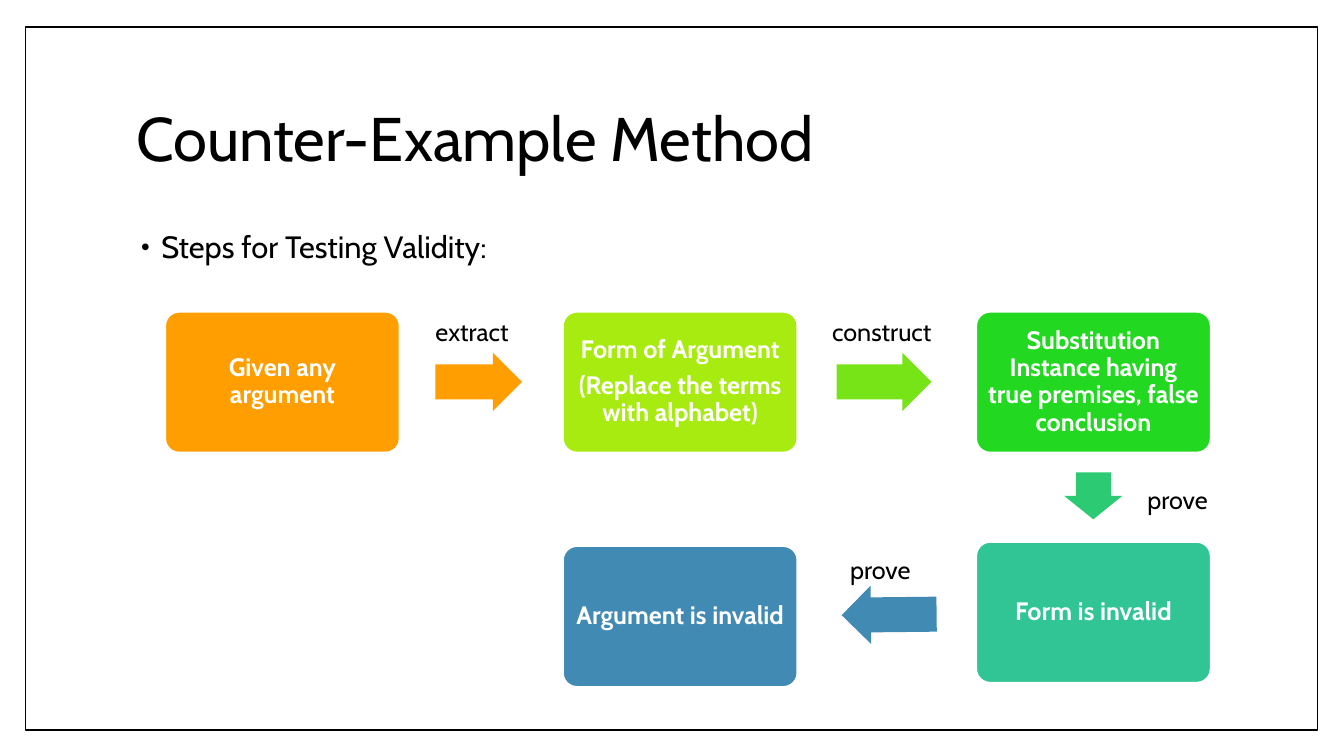
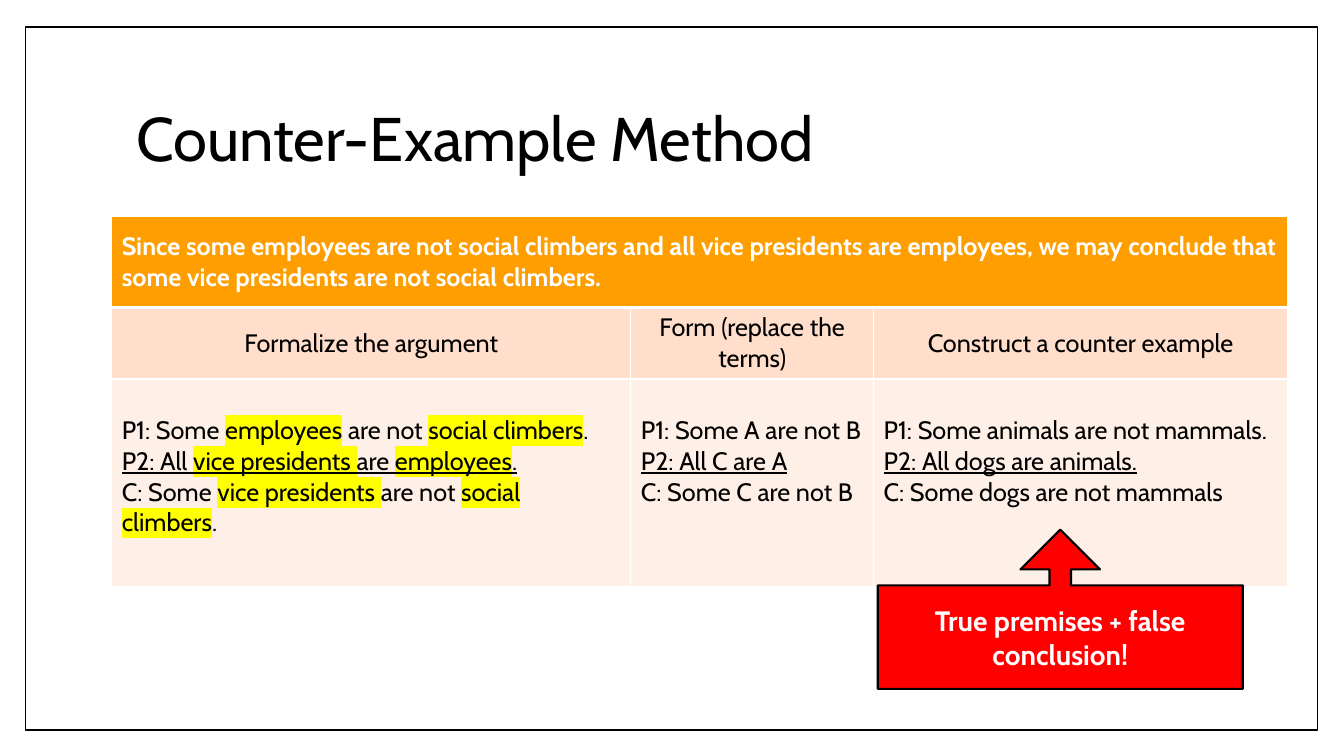
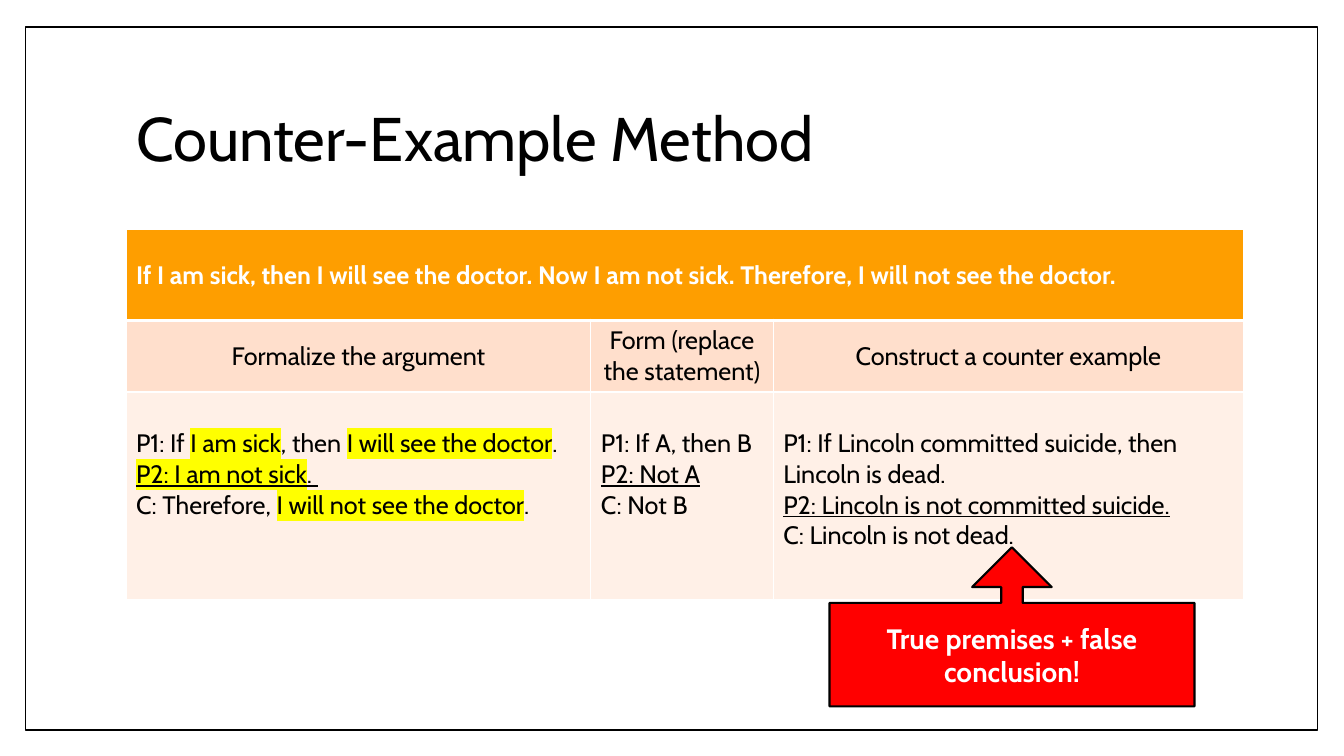
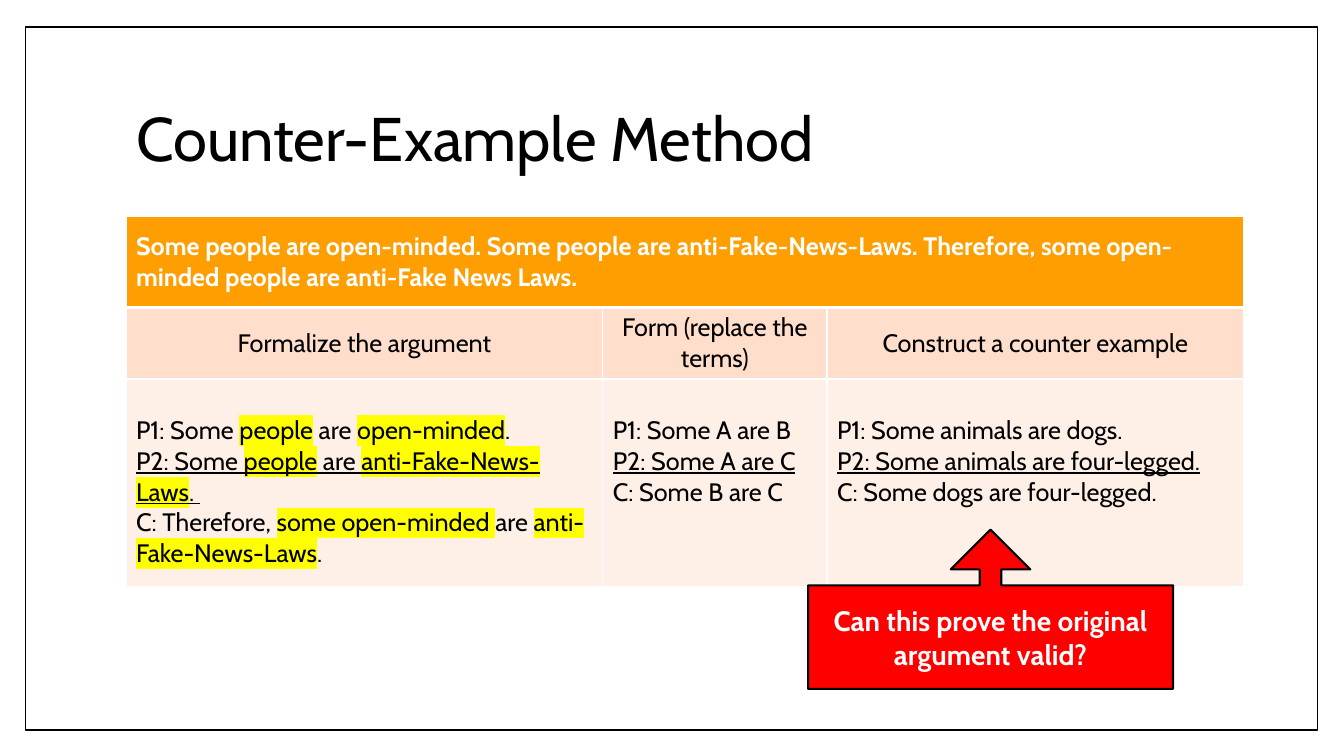
import dataclasses
import typing

import lxml.etree
import pptx
import pptx.dml.color
import pptx.enum.shapes
import pptx.enum.text
import pptx.oxml.ns
import pptx.util

Align = pptx.enum.text.PP_ALIGN
Anchor = pptx.enum.text.MSO_ANCHOR
Preset = pptx.enum.shapes.MSO_SHAPE

# Shared style
FONT = "Cabin"
BLACK, WHITE = "000000", "FFFFFF"
ORANGE, PEACH, CREAM = "FE9E00", "FFDFCC", "FFF0E7"
RED, YELLOW, BLUE = "FF0000", "FFFF00", "418AB3"
TITLE = "Counter-Example Method"

# Grid: 160 columns by 90 rows, twelve to the inch
CELLS_PER_INCH = 12
COLUMNS, ROWS = 160, 90


def grid(cells: float) -> int:
    return pptx.util.Inches(cells / CELLS_PER_INCH)


@dataclasses.dataclass(frozen=True)
class Box:
    left: float
    top: float
    width: float
    height: float

    def lengths(self) -> tuple[int, int, int, int]:
        return grid(self.left), grid(self.top), grid(self.width), grid(self.height)


@dataclasses.dataclass(frozen=True)
class Step:
    left: float
    top: float
    fill: str
    lines: tuple[str, ...]


@dataclasses.dataclass(frozen=True)
class Arrow:
    box: Box
    fill: str
    rotation: float
    label: str
    label_box: Box
    label_align: typing.Any = Align.CENTER


@dataclasses.dataclass(frozen=True)
class Example:
    """One argument; words between bars are highlighted."""
    left: float
    top: float
    widths: tuple[float, float, float]
    argument: str
    replaced: str
    formalized: tuple[str, str, str]
    form: tuple[str, str, str]
    counter_example: tuple[str, str, str]
    callout: str
    callout_left: float
    callout_top: float


FRAME = Box(3.05, 3.2, 153.8, 83.7)
TITLE_BOX = Box(15, 8, 129.6, 17.8)
BODY_BOX = Box(15, 27, 129.6, 53)
STEP_WIDTH, STEP_HEIGHT = 27.95, 16.8
STEP_LEFTS = (19.65, 67, 116.2)
STEP_TOP = 37.1
TABLE_ROWS = (10.8, 8.4, 24.7)
CALLOUT_WIDTH, CALLOUT_HEIGHT = 43.45, 18.95

STEPS = (
    Step(STEP_LEFTS[0], STEP_TOP, ORANGE, ("Given any argument",)),
    Step(STEP_LEFTS[1], STEP_TOP, "A8EB11",
         ("Form of Argument", "(Replace the terms with alphabet)")),
    Step(STEP_LEFTS[2], STEP_TOP, "23D821",
         ("Substitution Instance having true premises, false conclusion",)),
    Step(STEP_LEFTS[2], 64.5, "31C595", ("Form is invalid",)),
    Step(STEP_LEFTS[1], 65, BLUE, ("Argument is invalid",)),
)

ARROWS = (
    Arrow(Box(51.85, 42, 10.3, 6.95), ORANGE, 0, "extract",
          Box(48.6, STEP_TOP, 15.2, 4.8)),
    Arrow(Box(99.6, 42, 11.3, 6.95), "76E416", 0, "construct",
          Box(96.7, STEP_TOP, 16.55, 4.8)),
    Arrow(Box(127.35, 55.55, 5.6, 6.95), "2CCB73", 90, "prove",
          Box(135.4, 57.05, 15.2, 4.8), Align.LEFT),
    Arrow(Box(100.2, 69.7, 11.3, 6.95), BLUE, 179.4, "prove",
          Box(97.2, 65.4, 15.2, 4.8)),
)

EXAMPLES = (
    Example(
        13.3, 25.8, (61.8, 28.9, 49.3),
        "Since some employees are not social climbers and all vice presidents are "
        "employees, we may conclude that some vice presidents are not social climbers.",
        "terms",
        ("P1: Some |employees| are not |social climbers|.",
         "P2: All |vice presidents |are |employees|.",
         "C: Some |vice presidents |are not |social climbers|."),
        ("P1: Some A are not B", "P2: All C are A", "C: Some C are not B"),
        ("P1: Some animals are not mammals.", "P2: All dogs are animals.",
         "C: Some dogs are not mammals"),
        "True premises + false conclusion!", 104.5, 63.05),
    Example(
        15, 27.35, (55.35, 21.7, 56),
        "If I am sick, then I will see the doctor. Now I am not sick. "
        "Therefore, I will not see the doctor.",
        "statement",
        ("P1: If |I am sick|, then |I will see the doctor|.",
         "|P2: I am not sick|. ",
         "C: Therefore, |I will not see the doctor|."),
        ("P1: If A, then B", "P2: Not A", "C: Not B"),
        ("P1: If Lincoln committed suicide, then Lincoln is dead.",
         "P2: Lincoln is not committed suicide.", "C: Lincoln is not dead."),
        "True premises + false conclusion!", 98.75, 65.15),
    Example(
        15, 25.8, (56.75, 26.7, 49.6),
        "Some people are open-minded. Some people are anti-Fake-News-Laws. "
        "Therefore, some open-minded people are anti-Fake News Laws.",
        "terms",
        ("P1: Some |people| are |open-minded|.",
         "P2: Some |people| are |anti-Fake-News- Laws|. ",
         "C: Therefore, |some open-minded |are |anti-Fake-News-Laws|."),
        ("P1: Some A are B", "P2: Some A are C", "C: Some B are C"),
        ("P1: Some animals are dogs.", "P2: Some animals are four-legged.",
         "C: Some dogs are four-legged."),
        "Can this prove the original argument valid?", 96.2, 63.05),
)


# Formatting helpers
def color(value: str) -> pptx.dml.color.RGBColor:
    return pptx.dml.color.RGBColor.from_string(value)


def xml_child(parent: typing.Any, tag: str, **attributes: str) -> typing.Any:
    child = lxml.etree.SubElement(parent, pptx.oxml.ns.qn(tag))
    for name, value in attributes.items():
        child.set(name, value)
    return child


def highlight(run: typing.Any) -> None:
    properties = run._r.get_or_add_rPr()
    mark = xml_child(properties, "a:highlight")
    xml_child(mark, "a:srgbClr", val=YELLOW)
    properties.find(pptx.oxml.ns.qn("a:solidFill")).addnext(mark)


def write(frame: typing.Any, *lines: str, size: float = 18, ink: str = BLACK,
          bold: bool = False, align: typing.Any = Align.LEFT,
          line_spacing: float = 1.0, space_before: float = 0, space_after: float = 0,
          underlined_line: int | None = None) -> None:
    """Fill a text frame, one paragraph a line, highlighting words between bars."""
    frame.word_wrap = True
    for number, line in enumerate(lines):
        paragraph = frame.add_paragraph() if number else frame.paragraphs[0]
        paragraph.alignment = align
        paragraph.line_spacing = line_spacing
        paragraph.space_before = pptx.util.Pt(space_before)
        paragraph.space_after = pptx.util.Pt(space_after)
        for part, text in enumerate(line.split("|")):
            if not text:
                continue
            run = paragraph.add_run()
            run.text = text
            run.font.name = FONT
            run.font.size = pptx.util.Pt(size)
            run.font.bold = bold
            run.font.underline = number == underlined_line
            run.font.color.rgb = color(ink)
            if part % 2:
                highlight(run)


def add_shape(slide: typing.Any, preset: typing.Any, box: Box, fill: str,
              line: str | None = None, line_width: float = 1.5,
              adjustments: tuple[float, ...] = ()) -> typing.Any:
    shape = slide.shapes.add_shape(preset, *box.lengths())
    shape.shadow.inherit = False
    shape.fill.solid()
    shape.fill.fore_color.rgb = color(fill)
    if line:
        shape.line.color.rgb = color(line)
        shape.line.width = pptx.util.Pt(line_width)
    else:
        shape.line.fill.background()
    for number, value in enumerate(adjustments):
        shape.adjustments[number] = value
    return shape


def place(shape: typing.Any, box: Box) -> None:
    shape.left, shape.top, shape.width, shape.height = box.lengths()


# Parts shared by the slides
def add_page_frame(slide: typing.Any) -> None:
    """Draw the page frame behind everything else on the slide."""
    frame = add_shape(slide, Preset.RECTANGLE, FRAME, WHITE, BLACK, 1)
    slide.element.cSld.spTree.insert(2, frame.element)


def add_titled_slide(presentation: typing.Any, layout_name: str) -> typing.Any:
    layout = presentation.slide_layouts.get_by_name(layout_name)
    slide = presentation.slides.add_slide(layout)
    add_page_frame(slide)
    title = slide.shapes.title
    place(title, TITLE_BOX)
    title.text_frame.auto_size = pptx.enum.text.MSO_AUTO_SIZE.NONE
    title.text_frame.vertical_anchor = Anchor.MIDDLE
    write(title.text_frame, TITLE, size=44, line_spacing=0.9)
    return slide


# Flow of steps
def add_bullet_text(slide: typing.Any, text: str) -> None:
    body = slide.placeholders[1]
    place(body, BODY_BOX)
    body.text_frame.auto_size = pptx.enum.text.MSO_AUTO_SIZE.NONE
    write(body.text_frame, text, size=22, line_spacing=0.9, space_before=14)
    properties = body.text_frame.paragraphs[0]._p.get_or_add_pPr()
    properties.set("marL", str(pptx.util.Inches(0.25)))
    properties.set("indent", str(pptx.util.Inches(-0.2)))
    xml_child(xml_child(properties, "a:buClr"), "a:srgbClr", val=BLACK)
    xml_child(properties, "a:buSzPct", val="80000")
    xml_child(properties, "a:buFont", typeface="Arial")
    xml_child(properties, "a:buChar", char="•")


def add_step(slide: typing.Any, step: Step) -> None:
    box = Box(step.left, step.top, STEP_WIDTH, STEP_HEIGHT)
    shape = add_shape(slide, Preset.ROUNDED_RECTANGLE, box, step.fill, WHITE,
                      adjustments=(0.1,))
    frame = shape.text_frame
    frame.margin_left = frame.margin_right = pptx.util.Inches(0.07)
    frame.margin_top = frame.margin_bottom = pptx.util.Inches(0.07)
    frame.vertical_anchor = Anchor.MIDDLE
    write(frame, *step.lines, ink=WHITE, bold=True, align=Align.CENTER,
          line_spacing=0.9, space_after=6.3)


def add_arrow(slide: typing.Any, arrow: Arrow) -> None:
    shape = add_shape(slide, Preset.RIGHT_ARROW, arrow.box, arrow.fill,
                      adjustments=(0.6, 0.5))
    shape.rotation = arrow.rotation
    label = slide.shapes.add_textbox(*arrow.label_box.lengths())
    write(label.text_frame, arrow.label, align=arrow.label_align)


# Table of an argument and its counter example
def style_cell(cell: typing.Any, fill: str, top: float = 1, bottom: float = 1) -> None:
    cell.fill.solid()
    cell.fill.fore_color.rgb = color(fill)
    properties = cell._tc.get_or_add_tcPr()
    borders = {"a:lnL": 1, "a:lnR": 1, "a:lnT": top, "a:lnB": bottom}
    for position, (tag, width) in enumerate(borders.items()):
        border = xml_child(properties, tag, w=str(pptx.util.Pt(width)))
        xml_child(xml_child(border, "a:solidFill"), "a:srgbClr", val=WHITE)
        properties.insert(position, border)


def add_example_table(slide: typing.Any, example: Example) -> None:
    box = Box(example.left, example.top, sum(example.widths), sum(TABLE_ROWS))
    table = slide.shapes.add_table(3, 3, *box.lengths()).table
    table.horz_banding = False
    for column, width in zip(table.columns, example.widths):
        column.width = grid(width)
    for row, height in zip(table.rows, TABLE_ROWS):
        row.height = grid(height)

    argument = table.cell(0, 0)
    argument.merge(table.cell(0, 2))
    argument.vertical_anchor = Anchor.MIDDLE
    write(argument.text_frame, example.argument, ink=WHITE, bold=True)

    headings = ("Formalize the argument", f"Form (replace the {example.replaced})",
                "Construct a counter example")
    premises = (example.formalized, example.form, example.counter_example)
    for number, (heading, lines) in enumerate(zip(headings, premises)):
        style_cell(table.cell(0, number), ORANGE, bottom=3)

        heading_cell = table.cell(1, number)
        style_cell(heading_cell, PEACH, top=3)
        heading_cell.vertical_anchor = Anchor.MIDDLE
        write(heading_cell.text_frame, heading, align=Align.CENTER)

        premise_cell = table.cell(2, number)
        style_cell(premise_cell, CREAM)
        premise_cell.margin_top = pptx.util.Inches(0.36)
        write(premise_cell.text_frame, *lines, underlined_line=1)


def add_callout(slide: typing.Any, example: Example) -> None:
    box = Box(example.callout_left, example.callout_top, CALLOUT_WIDTH, CALLOUT_HEIGHT)
    shape = add_shape(slide, Preset.UP_ARROW_CALLOUT, box, RED, BLACK,
                      adjustments=(0.135, 0.25, 0.25, 0.65))
    shape.text_frame.vertical_anchor = Anchor.MIDDLE
    write(shape.text_frame, example.callout, size=20, ink=WHITE, bold=True,
          align=Align.CENTER)


def main() -> None:
    presentation = pptx.Presentation()
    presentation.slide_width = grid(COLUMNS)
    presentation.slide_height = grid(ROWS)

    # Method
    slide = add_titled_slide(presentation, "Title and Content")
    add_bullet_text(slide, "Steps for Testing Validity:")
    for step in STEPS:
        add_step(slide, step)
    for arrow in ARROWS:
        add_arrow(slide, arrow)

    # Worked examples
    for example in EXAMPLES:
        slide = add_titled_slide(presentation, "Title Only")
        add_example_table(slide, example)
        add_callout(slide, example)

    presentation.save("out.pptx")


main()
